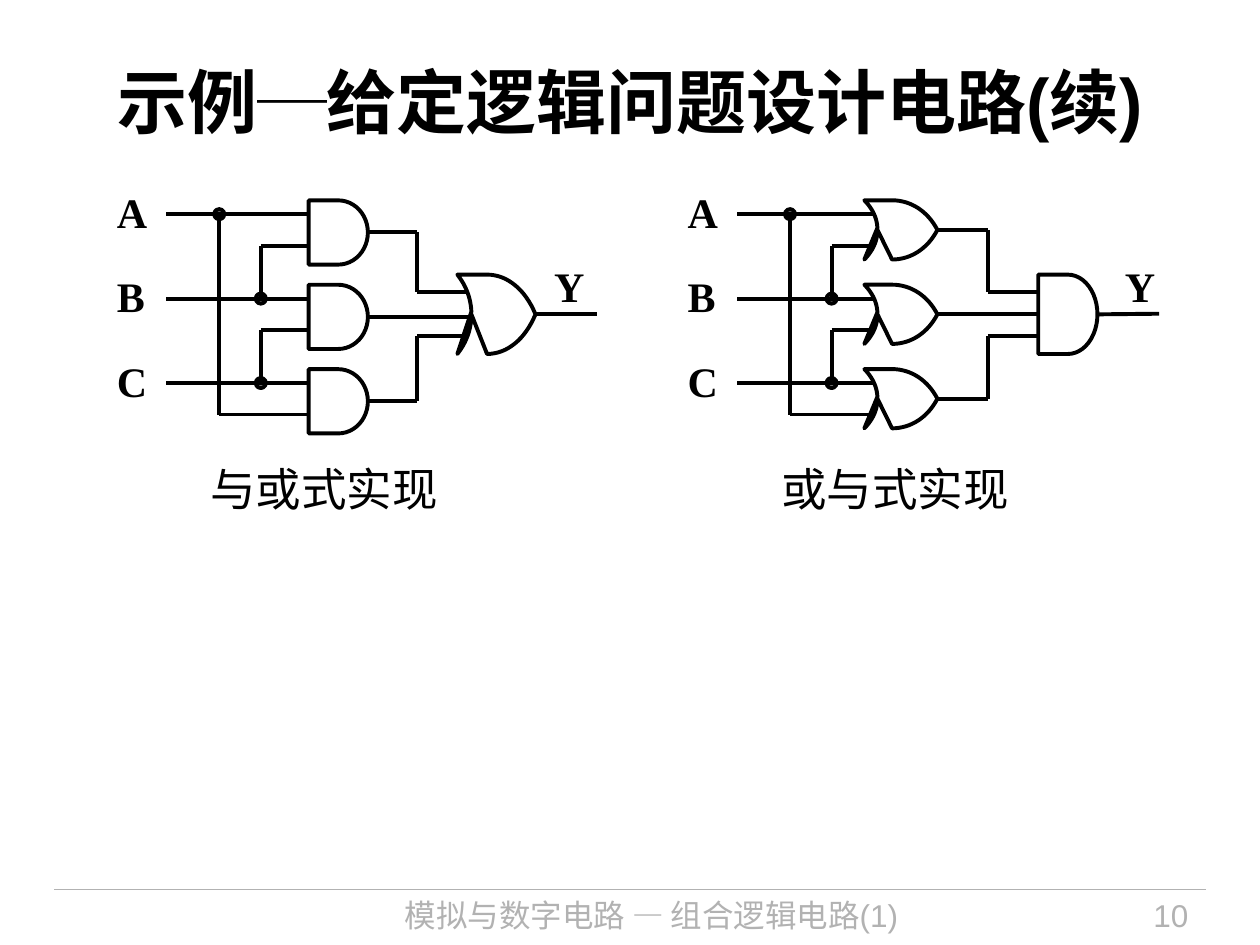
from lxml import etree
from pptx import Presentation
from pptx import util as u
from pptx.dml import color
from pptx.enum import shapes, text
from pptx.oxml import ns

Inches = u.Inches
BLACK, WHITE, GRAY = "000000", "FFFFFF", "B2B2B2"
AND_SIZE, OR_SIZE = (0.47, 0.51), (0.58, 0.47)
LABEL = {"name": "Times New Roman", "size": u.Pt(24), "bold": True}
CAPTION = {"name": "Arial", "size": u.Pt(26)}
FOOTER = {"name": "Arial", "size": u.Pt(18)}
TITLE = {"name": "Arial", "size": u.Pt(40), "bold": True}


def paint(target, hex_color):
    if hasattr(target, "solid"):
        target.solid()
        target = target.fore_color
    target.rgb = color.RGBColor.from_string(hex_color)


def style_text(frame, words, font, hex_color=BLACK, align=text.PP_ALIGN.LEFT):
    frame.text = words
    paragraph = frame.paragraphs[0]
    paragraph.alignment = align
    run = paragraph.runs[0]
    for name, value in font.items():
        setattr(run.font, name, value)
    paint(run.font.color, hex_color)


def add_text(parent, box, words, font, **options):
    shape = parent.add_textbox(*map(Inches, box))
    shape.text_frame.word_wrap = False
    style_text(shape.text_frame, words, font, **options)


def add_line(parent, start, end, hex_color=BLACK, width=2.25):
    line = parent.add_connector(
        shapes.MSO_CONNECTOR.STRAIGHT, *map(Inches, (*start, *end)))
    paint(line.line.color, hex_color)
    line.line.width = u.Pt(width)
    etree.SubElement(line._element.spPr, ns.qn("a:effectLst"))
    return line


def outline(shape):
    shape.shadow.inherit = False
    shape.fill.background()
    paint(shape.line.color, BLACK)
    shape.line.width = u.Pt(2.25)
    return shape


def add_and_gate(parent, left, top, width, height):
    return outline(parent.add_shape(
        shapes.MSO_SHAPE.FLOWCHART_DELAY, *map(Inches, (left, top, width, height))))


def bezier(controls, steps=16):
    for step in range(steps + 1):
        t = step / steps
        weights = ((1 - t) ** 3, 3 * t * (1 - t) ** 2, 3 * t * t * (1 - t), t ** 3)
        yield tuple(sum(w * point[axis] for w, point in zip(weights, controls))
                    for axis in (0, 1))


def mirror(points):
    return [(x, 1 - y) for x, y in reversed(points)]


def add_or_gate(parent, left, top, width, height):
    front = list(bezier([(0.38, 0), (0.64, 0), (0.87, 0.19), (1, 0.5)]))
    back = list(bezier([(0, 0), (0.12, 0.15), (0.18, 0.32), (0.18, 0.5)]))
    points = [(Inches(left + x * width), Inches(top + y * height))
              for x, y in front + mirror(front)[1:] + mirror(back) + back[-2::-1]]
    builder = parent.build_freeform(*points[0])
    builder.add_line_segments(points[1:], close=True)
    return outline(builder.convert_to_shape())


def add_dot(parent, x, y, size=0.08):
    dot = outline(parent.add_shape(
        shapes.MSO_SHAPE.OVAL,
        *map(Inches, (x - size / 2, y - size / 2, size, size))))
    paint(dot.fill, BLACK)
    fill_color = dot._element.spPr.find(ns.qn("a:solidFill"))[0]
    etree.SubElement(fill_color, ns.qn("a:alpha"), val="50000")


def add_circuit(slide, left, top, and_first, caption):
    parent = slide.shapes.add_group_shape().shapes
    input_start, trunk, tap, bus = (left + x for x in (0.49, 0.91, 1.24, 2.48))
    if and_first:
        add_first, add_last = add_and_gate, add_or_gate
        first_left, first_size, pin = left + 1.62, AND_SIZE, left + 1.62
        last_left, last_width = left + 2.8, 0.62
        last_pins = [left + x for x in (2.88, 2.91, 2.88)]
    else:
        add_first, add_last = add_or_gate, add_and_gate
        first_left, first_size, pin = left + 1.5, OR_SIZE, left + 1.57
        last_left, last_width = left + 2.88, 0.47
        last_pins = [last_left] * 3

    last_gate = add_last(parent, last_left, top + 0.75, last_width, 0.63)
    rows = [top + 0.27 + 0.67 * row for row in range(3)]
    first_out = first_left + first_size[0]
    for index, (name, row) in enumerate(zip("ABC", rows)):
        gate_top = row - 0.11
        gate = add_first(parent, first_left, gate_top, *first_size)
        middle = gate_top + first_size[1] / 2
        second_pin = row + 0.25
        second_source = trunk if index == 2 else tap
        add_line(parent, (input_start, row), (pin, row))
        add_line(parent, (second_source, second_pin), (pin, second_pin))
        if index < 2:
            add_line(parent, (tap, second_pin), (tap, rows[index + 1]))
        add_dot(parent, tap if index else trunk, row)
        add_text(parent, (left, row - 0.27, 0.44, 0.5), name, LABEL)

        if index == 1:
            wire = add_line(parent, (first_out, middle), (last_pins[1], middle))
            if not and_first:
                wire.end_connect(last_gate, 1)
        else:
            last_y = top + (0.89 if index == 0 else 1.24)
            wire = add_line(parent, (first_out, middle), (bus, middle))
            add_line(parent, (bus, middle), (bus, last_y))
            add_line(parent, (bus, last_y), (last_pins[index], last_y))
        if and_first:
            wire.begin_connect(gate, 3)

    add_line(parent, (trunk, rows[0]), (trunk, rows[2] + 0.25))
    output = last_left + last_width
    output_wire = add_line(parent, (output, top + 1.06), (output + 0.49, top + 1.06))
    if not and_first:
        output_wire.begin_connect(last_gate, 3)
    add_text(parent, (left + 3.47, top + 0.59, 0.44, 0.5), "Y", LABEL)
    add_text(slide.shapes, (left + 0.74, top + 2.18, 2.01, 0.53), caption, CAPTION)


def add_title(slide, left, top, width, height):
    title = slide.shapes.title
    box = {"left": left, "top": top, "width": width, "height": height}
    for name, value in box.items():
        setattr(title, name, Inches(value))
    title.text_frame.vertical_anchor = text.MSO_ANCHOR.MIDDLE
    style_text(title.text_frame, "示例─给定逻辑问题设计电路(续)", TITLE,
               align=text.PP_ALIGN.CENTER)


def add_footer(slide, left, top, width, height):
    add_line(slide.shapes, (left, top), (left + width, top), GRAY, 0.75)
    add_text(slide.shapes, (left + 2.06, top, 5.36, height),
             "模拟与数字电路 — 组合逻辑电路(1)", FOOTER,
             hex_color=GRAY, align=text.PP_ALIGN.CENTER)
    add_text(slide.shapes, (left + 7.77, top, 1.33, height), "10", FOOTER,
             hex_color=GRAY, align=text.PP_ALIGN.RIGHT)


def main():
    presentation = Presentation()
    presentation.slide_width, presentation.slide_height = Inches(10), Inches(7.5)
    slide = presentation.slides.add_slide(presentation.slide_layouts[5])
    paint(slide.background.fill, WHITE)
    add_footer(slide, 0.43, 7.06, 9.14, 0.44)
    add_title(slide, 0.5, 0.17, 9, 1.25)
    add_circuit(slide, 0.83, 1.43, True, "与或式实现")
    add_circuit(slide, 5.36, 1.43, False, "或与式实现")
    presentation.save("out.pptx")


if __name__ == "__main__":
    main()
